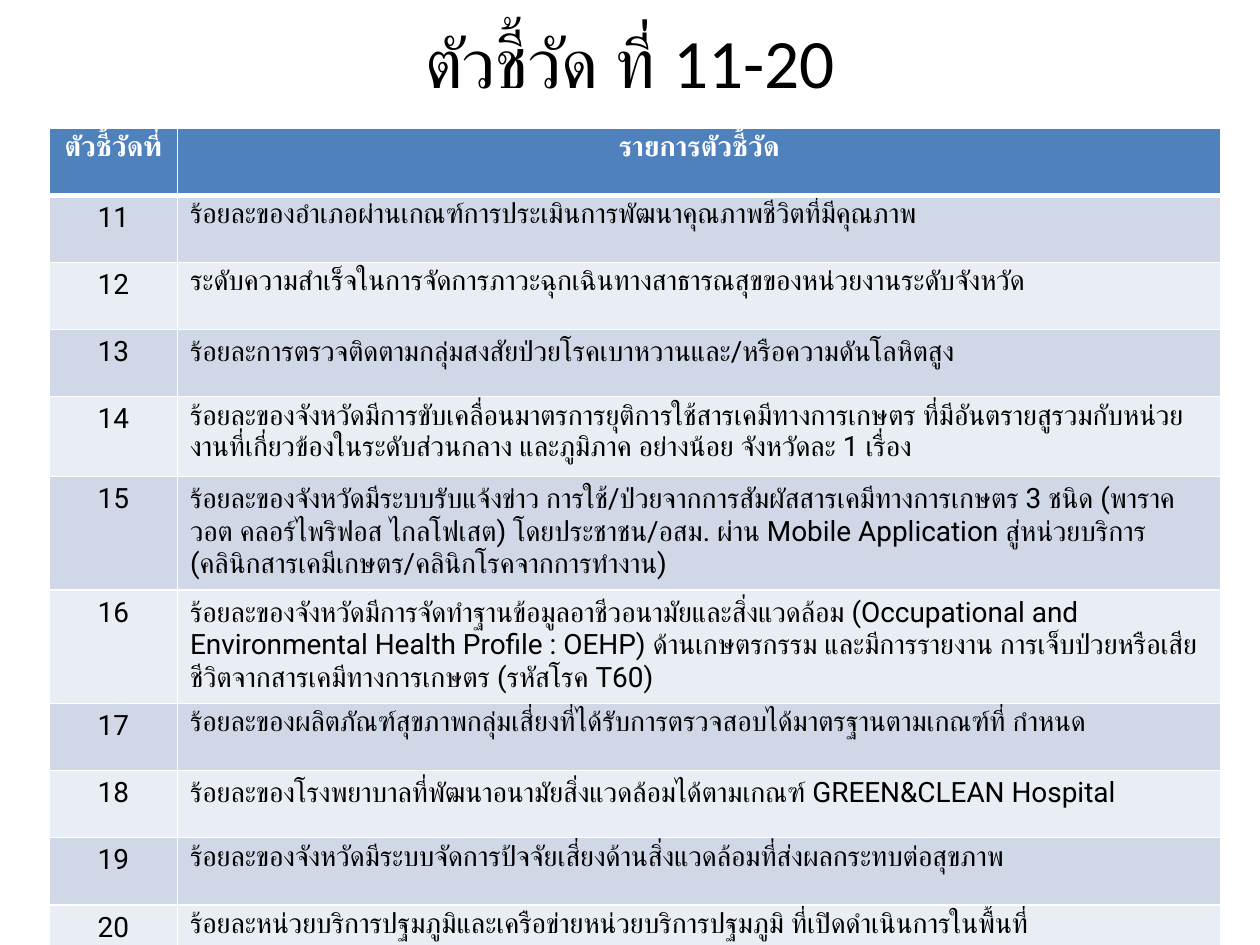
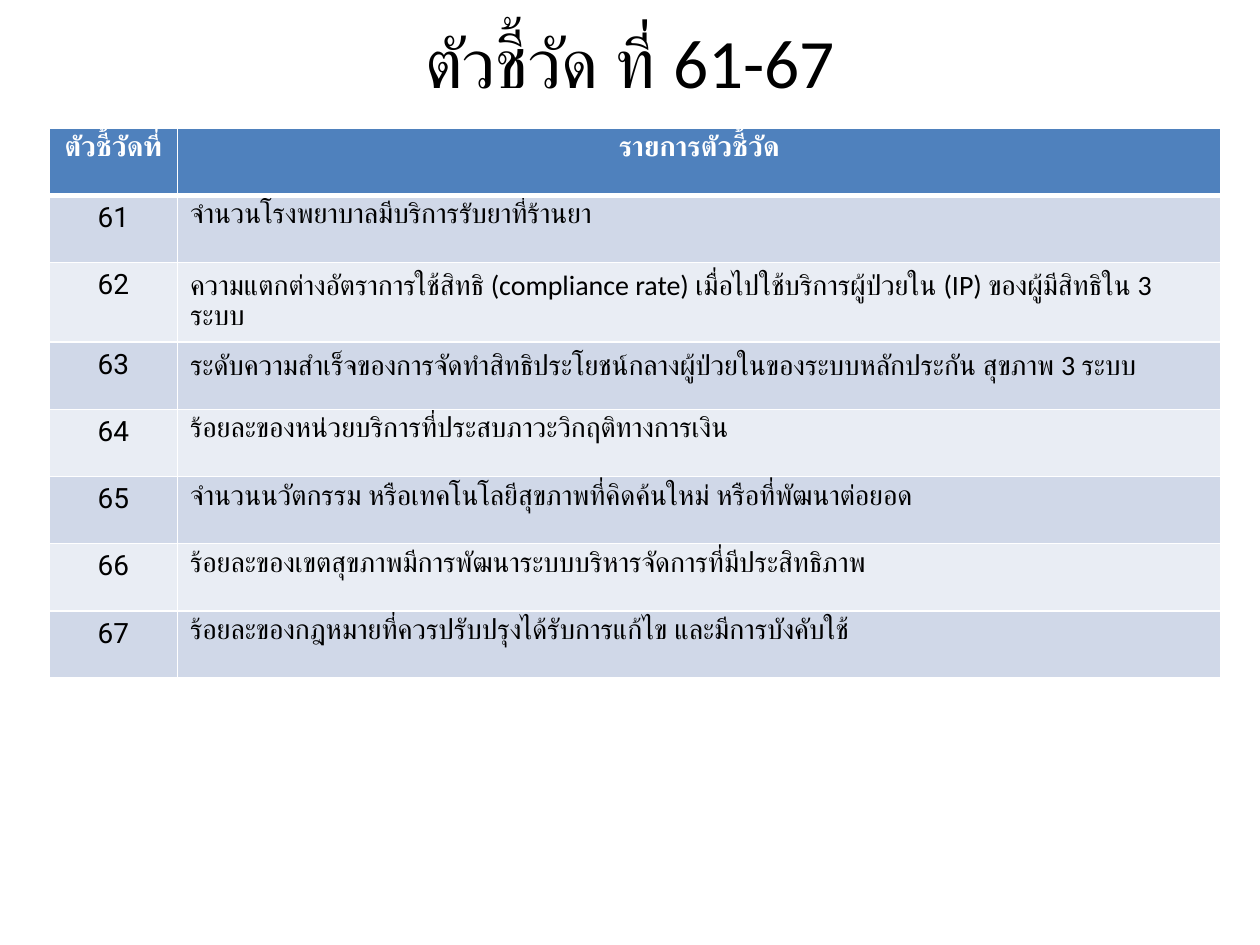
from lxml import etree
from pptx import Presentation
from pptx.dml.color import RGBColor
from pptx.enum.lang import MSO_LANGUAGE_ID as Lang
from pptx.enum.text import MSO_ANCHOR as Anchor, PP_ALIGN as Align
from pptx.oxml.ns import qn
from pptx.util import Pt

# Shared style: lengths in px, 120 px to the inch
EMU_PER_PX = 7620
SLIDE_SIZE = (1200, 900)
TITLE_BOX = (60, 19, 1080, 77)
TABLE_LEFT, TABLE_TOP = 47, 122
COLUMN_WIDTHS = (122, 994)
ROW_HEIGHT = 64
BLACK, WHITE = "000000", "FFFFFF"
HEADER_FILL = "4F81BD"
BAND_FILLS = ("D0D8E8", "E9EDF4")
HEADINGS = ("ตัวชี้วัดที่", "รายการตัวชี้วัด")

TITLE_FONT = {"name": "Calibri", "size": Pt(39.6), "bold": False}
HEADING_FONT = {"name": "Roboto", "size": Pt(16), "bold": True}
BODY_FONT = {**HEADING_FONT, "bold": False}

# Content: first indicator number, font of the descriptions, descriptions
INDICATOR_SETS = [
    (11, "Roboto", [
        "ร้อยละของอำเภอผ่านเกณฑ์การประเมินการพัฒนาคุณภาพชีวิตที่มีคุณภาพ",
        "ระดับความสำเร็จในการจัดการภาวะฉุกเฉินทางสาธารณสุขของหน่วยงานระดับจังหวัด",
        "ร้อยละการตรวจติดตามกลุ่มสงสัยป่วยโรคเบาหวานและ/หรือความดันโลหิตสูง",
        "ร้อยละของจังหวัดมีการขับเคลื่อนมาตรการยุติการใช้สารเคมีทางการเกษตร "
        "ที่มีอันตรายสูรวมกับหน่วยงานที่เกี่ยวข้องในระดับส่วนกลาง และภูมิภาค "
        "อย่างน้อย จังหวัดละ 1 เรื่อง",
        "ร้อยละของจังหวัดมีระบบรับแจ้งข่าว การใช้/ป่วยจากการสัมผัสสารเคมีทางการเกษตร 3 ชนิด "
        "(พาราควอต คลอร์ไพริฟอส ไกลโฟเสต) โดยประชาชน/อสม. ผ่าน Mobile Application "
        "สู่หน่วยบริการ (คลินิกสารเคมีเกษตร/คลินิกโรคจากการทำงาน)",
        "ร้อยละของจังหวัดมีการจัดทำฐานข้อมูลอาชีวอนามัยและสิ่งแวดล้อม "
        "(Occupational and Environmental Health Profile : OEHP) ด้านเกษตรกรรม "
        "และมีการรายงาน การเจ็บป่วยหรือเสียชีวิตจากสารเคมีทางการเกษตร (รหัสโรค T60)",
        "ร้อยละของผลิตภัณฑ์สุขภาพกลุ่มเสี่ยงที่ได้รับการตรวจสอบได้มาตรฐานตามเกณฑ์ที่ กำหนด",
        "ร้อยละของโรงพยาบาลที่พัฒนาอนามัยสิ่งแวดล้อมได้ตามเกณฑ์ GREEN&CLEAN Hospital",
        "ร้อยละของจังหวัดมีระบบจัดการป้จจัยเสี่ยงด้านสิ่งแวดล้อมที่ส่งผลกระทบต่อสุขภาพ",
        "ร้อยละหน่วยบริการปฐมภูมิและเครือข่ายหน่วยบริการปฐมภูมิ ที่เปิดดำเนินการในพื้นที่",
    ]),
    (61, "Calibri", [
        "จำนวนโรงพยาบาลมีบริการรับยาที่ร้านยา",
        "ความแตกต่างอัตราการใช้สิทธิ (compliance rate) เมื่อไปใช้บริการผู้ป่วยใน (IP) "
        "ของผู้มีสิทธิใน 3 ระบบ",
        "ระดับความสำเร็จของการจัดทำสิทธิประโยชน์กลางผู้ป่วยในของระบบหลักประกัน สุขภาพ 3 ระบบ",
        "ร้อยละของหน่วยบริการที่ประสบภาวะวิกฤติทางการเงิน",
        "จำนวนนวัตกรรม หรือเทคโนโลยีสุขภาพที่คิดค้นใหม่ หรือที่พัฒนาต่อยอด",
        "ร้อยละของเขตสุขภาพมีการพัฒนาระบบบริหารจัดการที่มีประสิทธิภาพ",
        "ร้อยละของกฎหมายที่ควรปรับปรุงได้รับการแก้ไข และมีการบังคับใช้",
    ]),
]


def px(length):
    return length * EMU_PER_PX


def rgb(code):
    return RGBColor.from_string(code)


def set_all(target, values):
    for name, value in values.items():
        setattr(target, name, value)


class Deck:
    def __init__(self):
        self.prs = Presentation()
        self.prs.slide_width, self.prs.slide_height = map(px, SLIDE_SIZE)
        self.slide = None

    def new_slide(self):
        self.slide = self.prs.slides.add_slide(self.prs.slide_layouts[6])

    def add_text(self, frame, text, font, color, align):
        paragraph = frame.paragraphs[0]
        paragraph.alignment = align
        run = paragraph.add_run()
        run.text = text
        set_all(run.font, {**font, "language_id": Lang.THAI})
        run.font.color.rgb = rgb(color)

    def title(self, text):
        frame = self.slide.shapes.add_textbox(*map(px, TITLE_BOX)).text_frame
        set_all(frame, {"word_wrap": True, "vertical_anchor": Anchor.MIDDLE})
        self.add_text(frame, text, TITLE_FONT, BLACK, Align.CENTER)

    def borders(self, cell, top, bottom):
        # Borders must come before the fill in the cell properties
        properties = cell._tc.get_or_add_tcPr()
        for side, width in (("L", 1), ("R", 1), ("T", top), ("B", bottom)):
            line = etree.SubElement(properties, qn(f"a:ln{side}"), w=str(Pt(width)))
            fill = etree.SubElement(line, qn("a:solidFill"))
            etree.SubElement(fill, qn("a:srgbClr"), val=WHITE)

    def cell(self, cell, text, font, color, fill, align, top=1, bottom=1):
        self.borders(cell, top, bottom)
        cell.fill.solid()
        cell.fill.fore_color.rgb = rgb(fill)
        self.add_text(cell.text_frame, text, font, color, align)

    def indicator_table(self, first, description_font, descriptions):
        count = len(descriptions) + 1
        table = self.slide.shapes.add_table(
            count, len(COLUMN_WIDTHS), px(TABLE_LEFT), px(TABLE_TOP),
            px(sum(COLUMN_WIDTHS)), px(ROW_HEIGHT * count)).table
        for column, width in zip(table.columns, COLUMN_WIDTHS):
            column.width = px(width)

        # Header row
        for column, heading in enumerate(HEADINGS):
            self.cell(table.cell(0, column), heading, HEADING_FONT, WHITE,
                      HEADER_FILL, Align.CENTER, bottom=3)

        # Numbered rows in alternating bands
        wording = {**BODY_FONT, "name": description_font}
        for row, description in enumerate(descriptions, 1):
            band = BAND_FILLS[(row - 1) % 2]
            top = 3 if row == 1 else 1
            self.cell(table.cell(row, 0), str(first + row - 1), BODY_FONT,
                      BLACK, band, Align.CENTER, top)
            self.cell(table.cell(row, 1), description, wording,
                      BLACK, band, Align.LEFT, top)


def main():
    deck = Deck()
    for first, description_font, descriptions in INDICATOR_SETS:
        last = first + len(descriptions) - 1
        deck.new_slide()
        deck.title(f"ตัวชี้วัด ที่ {first}-{last}")
        deck.indicator_table(first, description_font, descriptions)
    deck.prs.save("out.pptx")


if __name__ == "__main__":
    main()
